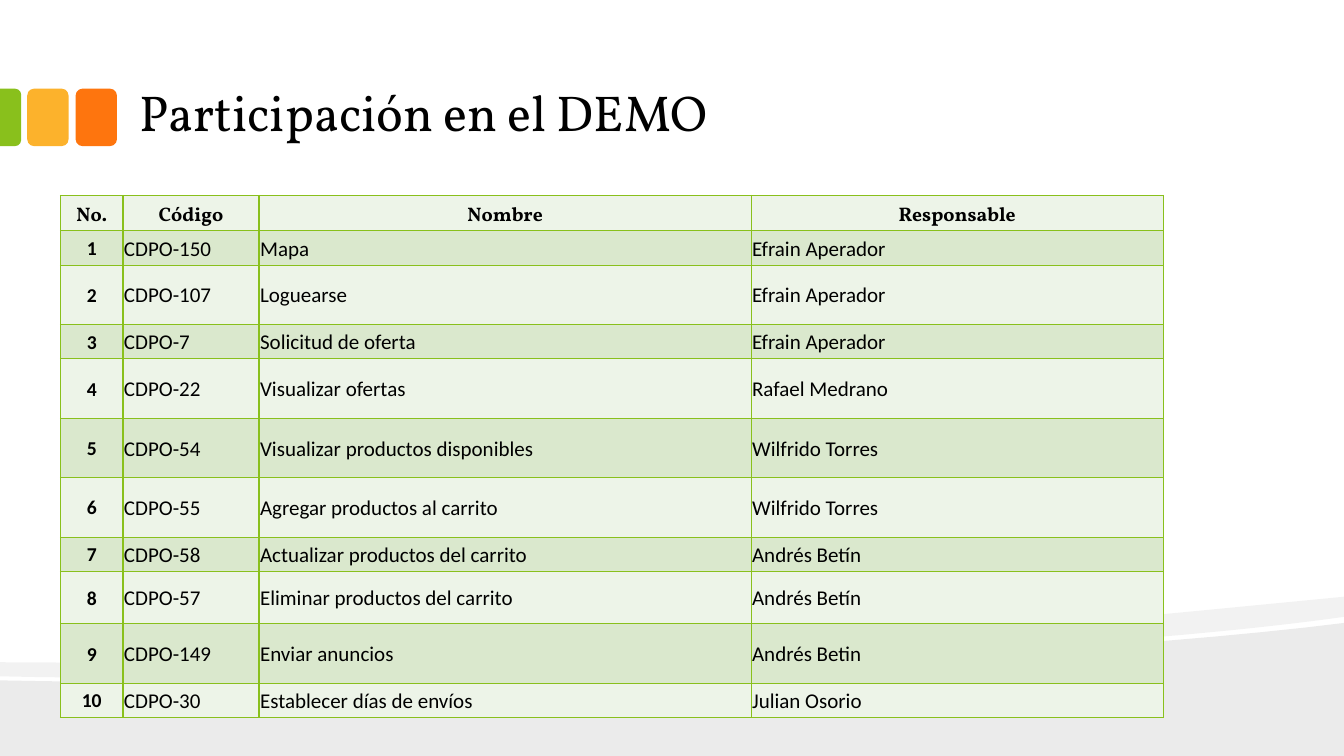
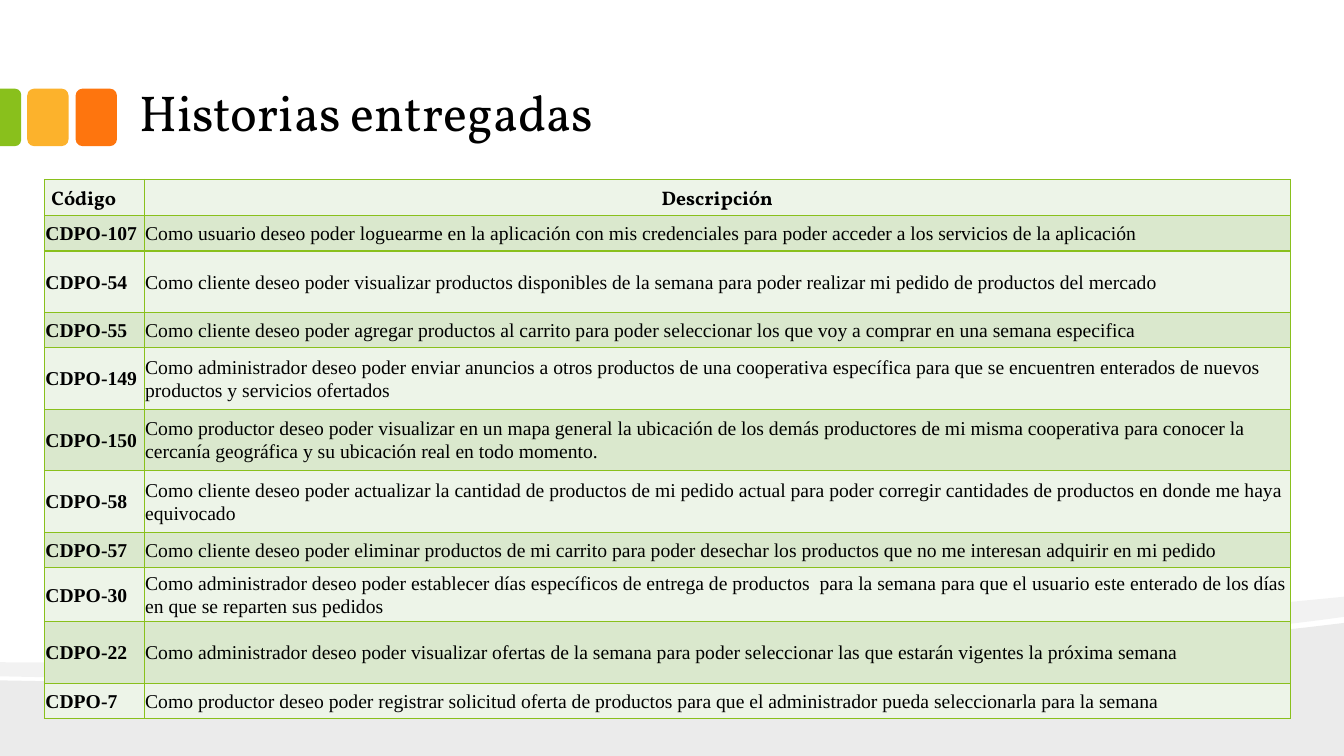
from dataclasses import dataclass

from lxml.etree import SubElement
from pptx import Presentation
from pptx.dml.color import RGBColor
from pptx.enum.shapes import MSO_SHAPE
from pptx.enum.text import MSO_ANCHOR, PP_ALIGN
from pptx.oxml.ns import qn
from pptx.util import Inches, Pt


@dataclass(frozen=True)
class Theme:
    text: str = "000000"
    green: str = "89C01C"
    yellow: str = "FCB22C"
    orange: str = "FE750E"
    light_row: str = "EDF4E8"
    dark_row: str = "DAE8CD"
    heading_font: str = "Vollkorn"
    body_font: str = "Calibri"
    story_font: str = "Times New Roman"
    title_size: int = 36
    table_size: int = 14
    body_size: int = 15
    border_width: int = 1
    line_spacing: float = 1.07
    space_after: int = 8


@dataclass(frozen=True)
class Column:
    heading: str
    width: float
    font: str
    size: int
    bold: bool = False
    align: PP_ALIGN = PP_ALIGN.LEFT
    heading_align: PP_ALIGN = PP_ALIGN.CENTER


THEME = Theme()
SLIDE_WIDTH, SLIDE_HEIGHT = 13.33, 7.5
CURVE_STEPS = 24

DEMO_COLUMNS = [
    Column("No.", 0.62, THEME.body_font, THEME.table_size, True, PP_ALIGN.CENTER),
    Column("Código", 1.35, THEME.body_font, THEME.body_size),
    Column("Nombre", 4.88, THEME.body_font, THEME.body_size),
    Column("Responsable", 4.09, THEME.body_font, THEME.body_size),
]
DEMO_HEIGHTS = [0.34, 0.34, 0.59, 0.34, 0.59, 0.59, 0.59, 0.34, 0.52, 0.59, 0.34]
DEMO_ITEMS = [
    ("CDPO-150", "Mapa", "Efrain Aperador"),
    ("CDPO-107", "Loguearse", "Efrain Aperador"),
    ("CDPO-7", "Solicitud de oferta", "Efrain Aperador"),
    ("CDPO-22", "Visualizar ofertas", "Rafael Medrano"),
    ("CDPO-54", "Visualizar productos disponibles", "Wilfrido Torres"),
    ("CDPO-55", "Agregar productos al carrito", "Wilfrido Torres"),
    ("CDPO-58", "Actualizar productos del carrito", "Andrés Betín"),
    ("CDPO-57", "Eliminar productos del carrito", "Andrés Betín"),
    ("CDPO-149", "Enviar anuncios", "Andrés Betin"),
    ("CDPO-30", "Establecer días de envíos", "Julian Osorio"),
]

STORY_COLUMNS = [
    Column("Código", 0.99, THEME.story_font, THEME.table_size, True,
           heading_align=PP_ALIGN.LEFT),
    Column("Descripción", 11.37, THEME.story_font, THEME.table_size),
]
STORY_HEIGHTS = [0.36, 0.35, 0.61, 0.35, 0.61, 0.61, 0.61, 0.35, 0.54, 0.61, 0.35]
STORIES = [
    ("CDPO-107", "Como usuario deseo poder loguearme en la aplicación con mis "
     "credenciales para poder acceder a los servicios de la aplicación"),
    ("CDPO-54", "Como cliente deseo poder visualizar productos disponibles de la "
     "semana para poder realizar mi pedido de productos del mercado"),
    ("CDPO-55", "Como cliente deseo poder agregar productos al carrito para poder "
     "seleccionar los que voy a comprar en una semana especifica"),
    ("CDPO-149", "Como administrador deseo poder enviar anuncios a otros productos "
     "de una cooperativa específica para que se encuentren enterados de nuevos "
     "productos y servicios ofertados"),
    ("CDPO-150", "Como productor deseo poder visualizar en un mapa general la "
     "ubicación de los demás productores de mi misma cooperativa para conocer la "
     "cercanía geográfica y su ubicación real en todo momento."),
    ("CDPO-58", "Como cliente deseo poder actualizar la cantidad de productos de mi "
     "pedido actual para poder corregir cantidades de productos en donde me haya "
     "equivocado"),
    ("CDPO-57", "Como cliente deseo poder eliminar productos de mi carrito para poder "
     "desechar los productos que no me interesan adquirir en mi pedido"),
    ("CDPO-30", "Como administrador deseo poder establecer días específicos de entrega "
     "de productos  para la semana para que el usuario este enterado de los días en "
     "que se reparten sus pedidos"),
    ("CDPO-22", "Como administrador deseo poder visualizar ofertas de la semana para "
     "poder seleccionar las que estarán vigentes la próxima semana"),
    ("CDPO-7", "Como productor deseo poder registrar solicitud oferta de productos "
     "para que el administrador pueda seleccionarla para la semana"),
]


def paint(shape, color, opacity=100):
    shape.shadow.inherit = False
    shape.line.fill.background()
    shape.fill.solid()
    shape.fill.fore_color.rgb = RGBColor.from_string(color)
    if opacity < 100:
        color_element = shape.fill._xPr.find(qn("a:solidFill"))[0]
        SubElement(color_element, qn("a:alpha"), val=str(opacity * 1000))


def set_margins(target, horizontal, vertical):
    target.margin_left = target.margin_right = Inches(horizontal)
    target.margin_top = target.margin_bottom = Inches(vertical)


def add_run(paragraph, text, font, size, bold=False):
    run = paragraph.add_run()
    run.text = text
    run.font.name = font
    run.font.size = Pt(size)
    run.font.bold = bold
    run.font.color.rgb = RGBColor.from_string(THEME.text)


def curve(*points):
    result = []
    for step in range(CURVE_STEPS + 1):
        t = step / CURVE_STEPS
        weights = ((1 - t) ** 3, 3 * t * (1 - t) ** 2, 3 * t ** 2 * (1 - t), t ** 3)
        result.append(tuple(
            sum(weight * point[axis] for weight, point in zip(weights, points))
            for axis in (0, 1)
        ))
    return result


def add_wave(slide, points, opacity):
    builder = slide.shapes.build_freeform(
        *(Inches(value) for value in points[0]), scale=1.0)
    builder.add_line_segments([(Inches(x), Inches(y)) for x, y in points[1:]])
    paint(builder.convert_to_shape(), THEME.text, opacity)


def add_waves(slide):
    corners = [(SLIDE_WIDTH, SLIDE_HEIGHT), (0, SLIDE_HEIGHT)]
    ground = curve((0, 6.75), (3.52, 6.83), (10.42, 6.55), (SLIDE_WIDTH, 6.18))
    add_wave(slide, corners + ground, 8)
    lower_edge = (
        curve((SLIDE_WIDTH, 6.12), (12.55, 6.23), (11.49, 6.33), (10.29, 6.41))
        + curve((10.29, 6.41), (6.98, 6.63), (2.58, 6.77), (0, 6.71))
    )
    upper_edge = curve((0, 6.57), (6.52, 6.62), (9.71, 6.27), (SLIDE_WIDTH, 5.92))
    add_wave(slide, lower_edge + upper_edge, 5)


def add_tab(slide, kind, left, top, width, height, color):
    tab = slide.shapes.add_shape(
        kind, Inches(left), Inches(top), Inches(width), Inches(height))
    paint(tab, color)
    return tab


def add_tabs(slide):
    for left, color in ((0.75, THEME.orange), (0.27, THEME.yellow)):
        add_tab(slide, MSO_SHAPE.ROUNDED_RECTANGLE, left, 0.88, 0.41, 0.57, color)
    edge_tab = add_tab(slide, MSO_SHAPE.ROUND_2_SAME_RECTANGLE,
                       -0.18, 1.06, 0.57, 0.21, THEME.green)
    edge_tab.rotation = 90
    edge_tab.adjustments[0] = 0.29
    edge_tab.adjustments[1] = 0


def add_title(slide, text):
    box = slide.shapes.add_textbox(
        Inches(1.25), Inches(0.05), Inches(10.66), Inches(1.42))
    frame = box.text_frame
    frame.word_wrap = True
    frame.vertical_anchor = MSO_ANCHOR.BOTTOM
    set_margins(frame, 0.13, 0.07)
    add_run(frame.paragraphs[0], text, THEME.heading_font, THEME.title_size)


def add_borders(cell):
    properties = cell._tc.get_or_add_tcPr()
    for side in ("lnL", "lnR", "lnT", "lnB"):
        line = SubElement(properties, qn(f"a:{side}"), w=str(Pt(THEME.border_width)))
        fill = SubElement(line, qn("a:solidFill"))
        SubElement(fill, qn("a:srgbClr"), val=THEME.green)


def fill_cell(cell, text, column, row_index):
    add_borders(cell)
    cell.fill.solid()
    cell.fill.fore_color.rgb = RGBColor.from_string(
        THEME.dark_row if row_index % 2 else THEME.light_row)
    paragraph = cell.text_frame.paragraphs[0]
    paragraph.line_spacing = THEME.line_spacing
    if row_index == 0:
        set_margins(cell, 0.07, 0.05)
        paragraph.alignment = column.heading_align
        add_run(paragraph, text, THEME.heading_font, THEME.table_size, True)
    else:
        set_margins(cell, 0.01, 0.01)
        cell.vertical_anchor = MSO_ANCHOR.MIDDLE
        paragraph.alignment = column.align
        paragraph.space_after = Pt(THEME.space_after)
        add_run(paragraph, text, column.font, column.size, column.bold)


def add_data_table(slide, left, top, columns, heights, records):
    rows = [[column.heading for column in columns], *records]
    table = slide.shapes.add_table(
        len(rows), len(columns), Inches(left), Inches(top),
        Inches(sum(column.width for column in columns)), Inches(sum(heights)),
    ).table
    table.first_row = table.horz_banding = False
    for index, column in enumerate(columns):
        table.columns[index].width = Inches(column.width)
    for row_index, (height, row) in enumerate(zip(heights, rows)):
        table.rows[row_index].height = Inches(height)
        for column_index, (text, column) in enumerate(zip(row, columns)):
            fill_cell(table.cell(row_index, column_index), text, column, row_index)


def add_slide(presentation, title):
    slide = presentation.slides.add_slide(presentation.slide_layouts[6])
    add_waves(slide)
    add_tabs(slide)
    add_title(slide, title)
    return slide


def main():
    presentation = Presentation()
    presentation.slide_width = Inches(SLIDE_WIDTH)
    presentation.slide_height = Inches(SLIDE_HEIGHT)
    demo_slide = add_slide(presentation, "Participación en el DEMO")
    demo_records = [(str(number), *item) for number, item in enumerate(DEMO_ITEMS, 1)]
    add_data_table(demo_slide, 0.6, 1.94, DEMO_COLUMNS, DEMO_HEIGHTS, demo_records)
    story_slide = add_slide(presentation, "Historias entregadas")
    add_data_table(story_slide, 0.44, 1.78, STORY_COLUMNS, STORY_HEIGHTS, STORIES)
    presentation.save("out.pptx")


if __name__ == "__main__":
    main()
